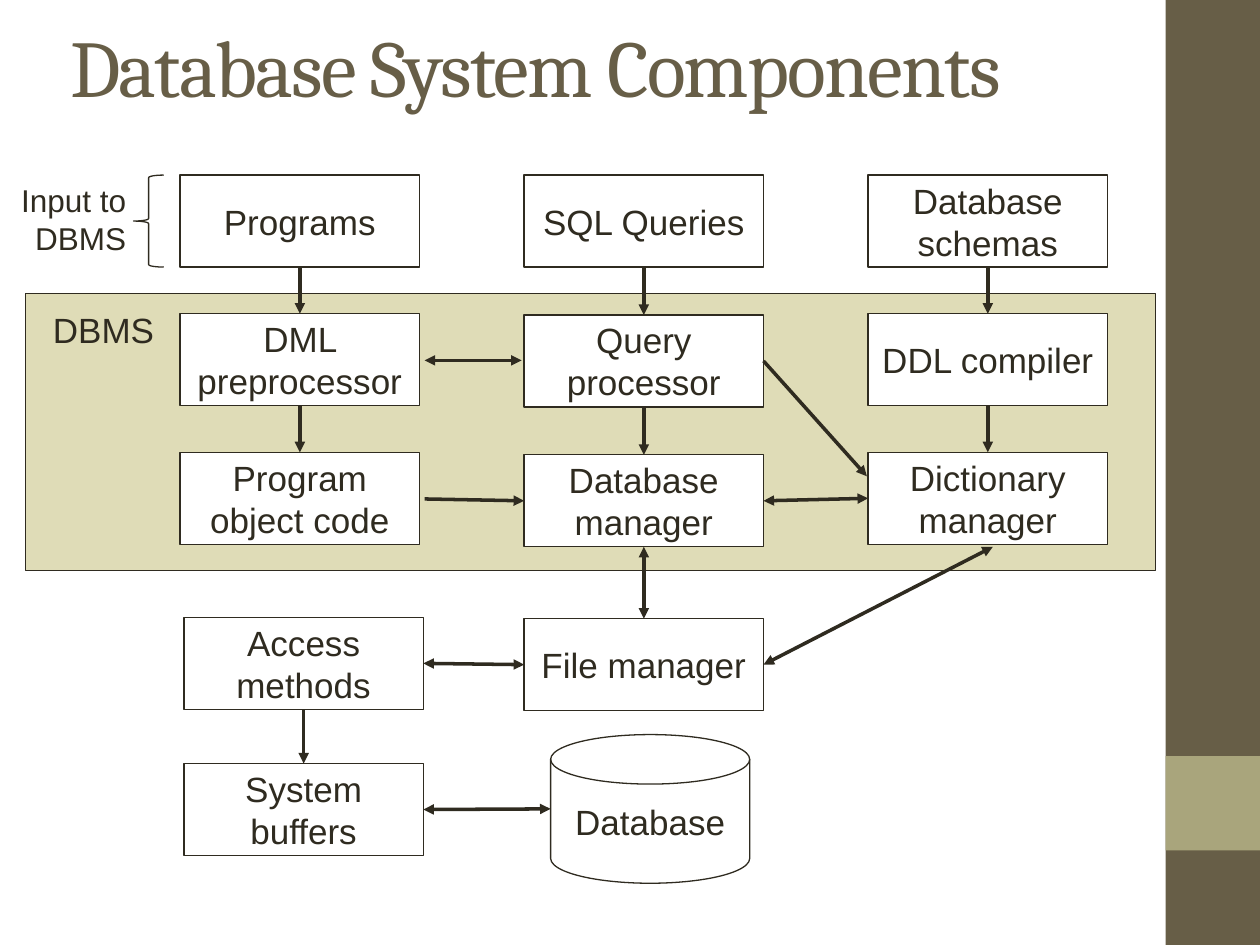
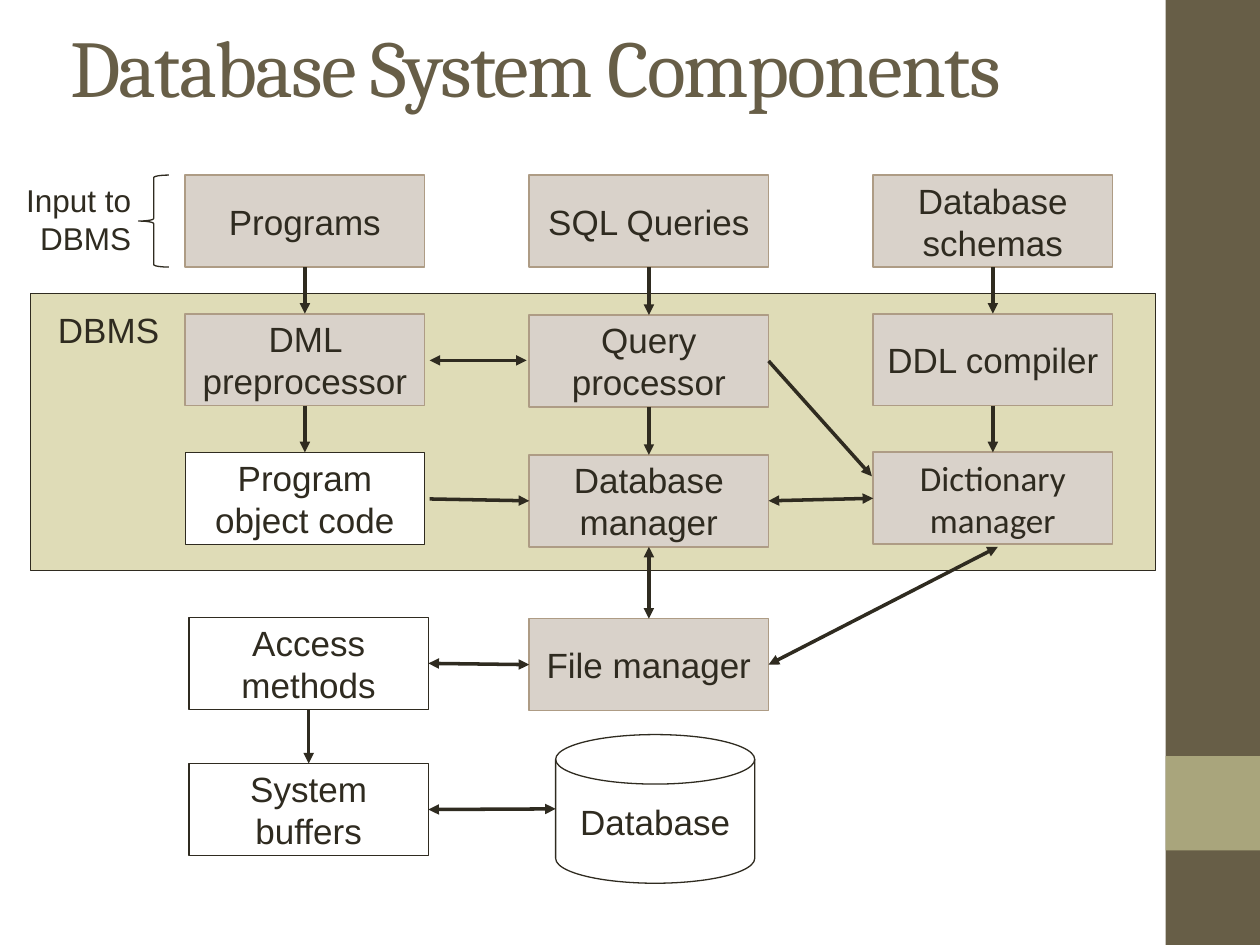
from dataclasses import dataclass

from pptx import Presentation
from pptx.dml.color import RGBColor
from pptx.enum import shapes, text
from pptx.oxml import xmlchemy
from pptx.util import Inches, Pt


@dataclass(frozen=True)
class Theme:
    ink: str = "2F2B20"
    olive: str = "675E47"
    sage: str = "A9A57C"
    panel: str = "DFDCB7"
    white: str = "FFFFFF"
    highlight: str = "D9D2CA"
    highlight_edge: str = "AE9C85"
    title_font: str = "Cambria"
    body_font: str = "Arial"
    accent_font: str = "Calibri"
    title_size: int = 46
    body_size: int = 20
    note_size: int = 18
    thin: float = 0.75
    edge: float = 1
    arrow: float = 2


TITLE = "Database System Components"
BOX_WIDTH, BOX_HEIGHT = 1.9, 0.73
COLUMNS = [1.43 + 2.73 * index for index in range(3)]
LOWER_LEFT = 1.46
INPUT_ROW = 1.39
TOP, LEFT, BOTTOM, RIGHT = range(4)

COMPONENTS = {
    "Programs": (COLUMNS[0], INPUT_ROW),
    "SQL Queries": (COLUMNS[1], INPUT_ROW),
    "Database schemas": (COLUMNS[2], INPUT_ROW),
    "DML preprocessor": (COLUMNS[0], 2.49),
    "Query processor": (COLUMNS[1], 2.5),
    "DDL compiler": (COLUMNS[2], 2.49),
    "Program object code": (COLUMNS[0], 3.59),
    "Database manager": (COLUMNS[1], 3.61),
    "Dictionary manager": (COLUMNS[2], 3.59),
    "Access methods": (LOWER_LEFT, 4.9),
    "File manager": (COLUMNS[1], 4.91),
    "System buffers": (LOWER_LEFT, 6.06),
}
PLAIN = {"Program object code", "Access methods", "System buffers"}
HIGHLIGHTED = set(COMPONENTS) - PLAIN

DOWNWARD = [
    ("Programs", "DML preprocessor"),
    ("SQL Queries", "Query processor"),
    ("Database schemas", "DDL compiler"),
    ("DML preprocessor", "Program object code"),
    ("Query processor", "Database manager"),
    ("DDL compiler", "Dictionary manager"),
    ("Access methods", "System buffers"),
]
# An end is either (component, side) or a free point (x, y).
ONE_WAY = [((upper, BOTTOM), (lower, TOP)) for upper, lower in DOWNWARD] + [
    ((3.37, 3.96), ("Database manager", LEFT)),
    (("Query processor", RIGHT), (6.88, 3.78)),
]
TWO_WAY = [
    ((3.37, 2.86), (4.14, 2.86)),
    (("Database manager", RIGHT), ("Dictionary manager", LEFT)),
    (("Database manager", BOTTOM), ("File manager", TOP)),
    (("Access methods", RIGHT), ("File manager", LEFT)),
    (("System buffers", RIGHT), (4.37, 6.42)),
    (("File manager", RIGHT), (7.88, 4.34)),
]


class DeckBuilder:
    def __init__(self, theme):
        self.theme = theme
        self.deck = Presentation()
        self.deck.slide_width, self.deck.slide_height = Inches(10), Inches(7.5)

    def new_page(self, title, shift=0):
        """Start a slide whose diagram is moved right by shift inches."""
        theme = self.theme
        self.page = self.deck.slides.add_slide(self.deck.slide_layouts[6])
        self.shift = 0
        self.shape("RECTANGLE", 9.25, 0, 0.75, 7.5, theme.olive, None)
        self.shape("RECTANGLE", 9.25, 6, 0.75, 0.75, theme.sage, None)
        self.label(title, 0.46, 0.02, 8.33, 0.99, theme.title_size,
                   font=theme.title_font, color=theme.olive,
                   anchor=text.MSO_ANCHOR.MIDDLE, spacing=-1)
        self.shift = shift
        self.nodes = {}

    def shape(self, kind, left, top, width, height, fill, line, weight=None):
        box = self.page.shapes.add_shape(
            shapes.MSO_SHAPE[kind], Inches(left + self.shift), Inches(top),
            Inches(width), Inches(height))
        box.shadow.inherit = False
        if fill:
            box.fill.solid()
            box.fill.fore_color.rgb = RGBColor.from_string(fill)
        else:
            box.fill.background()
        if line:
            box.line.color.rgb = RGBColor.from_string(line)
            box.line.width = Pt(weight or self.theme.thin)
        else:
            box.line.fill.background()
        return box

    def add_words(self, box, words, size, font=None, color=None, spacing=0,
                  align=text.PP_ALIGN.LEFT, anchor=text.MSO_ANCHOR.TOP):
        frame = box.text_frame
        frame.word_wrap = True
        frame.vertical_anchor = anchor
        para = frame.paragraphs[0]
        para.alignment = align
        span = para.add_run()
        span.text = words
        span.font.size = Pt(size)
        span.font.name = font or self.theme.body_font
        span.font.color.rgb = RGBColor.from_string(color or self.theme.ink)
        if spacing:
            span.font._element.set("spc", str(spacing * 100))

    def label(self, words, left, top, width, height, size, **style):
        box = self.page.shapes.add_textbox(
            Inches(left + self.shift), Inches(top), Inches(width), Inches(height))
        self.add_words(box, words, size, **style)

    def panel(self, words, left, top, right, height):
        """Draw a titled area whose right edge stays put when shifted."""
        width = right - left - self.shift
        box = self.shape("RECTANGLE", left, top, width, height,
                         self.theme.panel, self.theme.ink)
        box.text_frame.margin_left = Inches(0.22)
        box.text_frame.margin_top = Inches(0.12)
        self.add_words(box, words, self.theme.body_size)

    def node(self, name, left, top, width=BOX_WIDTH, height=BOX_HEIGHT,
             kind="RECTANGLE", highlighted=False, font=None):
        theme = self.theme
        look = ((theme.highlight, theme.highlight_edge, theme.edge)
                if highlighted else (theme.white, theme.ink, theme.thin))
        box = self.shape(kind, left, top, width, height, *look)
        self.add_words(box, name, theme.body_size, font=font,
                       align=text.PP_ALIGN.CENTER, anchor=text.MSO_ANCHOR.MIDDLE)
        self.nodes[name] = box

    def arrow(self, start, end, two_way=False):
        points = [(0, 0) if isinstance(place[0], str)
                  else (Inches(place[0] + self.shift), Inches(place[1]))
                  for place in (start, end)]
        line = self.page.shapes.add_connector(
            shapes.MSO_CONNECTOR.STRAIGHT, *points[0], *points[1])
        for place, connect in ((start, line.begin_connect), (end, line.end_connect)):
            if isinstance(place[0], str):
                name, side = place
                connect(self.nodes[name], side)
        line.line.color.rgb = RGBColor.from_string(self.theme.ink)
        line.line.width = Pt(self.theme.arrow)
        outline = line.line._get_or_add_ln()
        for tag in ("a:headEnd", "a:tailEnd") if two_way else ("a:tailEnd",):
            head = xmlchemy.OxmlElement(tag)
            head.set("type", "triangle")
            outline.append(head)
        line._element.spPr.append(xmlchemy.OxmlElement("a:effectLst"))

    def input_note(self):
        theme = self.theme
        self.shape("LEFT_BRACE", 1.06, INPUT_ROW, 0.24, BOX_HEIGHT, None, theme.ink)
        self.label("Input to DBMS", 0.04, INPUT_ROW, 1.06, 0.7, theme.note_size,
                   align=text.PP_ALIGN.RIGHT)

    def component_diagram(self, highlighted=(), fonts=None):
        self.panel("DBMS", 0.2, 2.33, 9.17, 2.2)
        for name, (left, top) in COMPONENTS.items():
            self.node(name, left, top, highlighted=name in highlighted,
                      font=(fonts or {}).get(name))
        self.node("Database", 4.37, 5.83, 1.58, 1.18, "FLOWCHART_MAGNETIC_DISK")
        for start, end in ONE_WAY:
            self.arrow(start, end)
        for start, end in TWO_WAY:
            self.arrow(start, end, two_way=True)
        self.input_note()


def main():
    theme = Theme()
    builder = DeckBuilder(theme)
    builder.new_page(TITLE)
    builder.component_diagram()
    builder.new_page(TITLE, shift=0.04)
    builder.component_diagram(HIGHLIGHTED, {"Dictionary manager": theme.accent_font})
    builder.deck.save("out.pptx")


if __name__ == "__main__":
    main()
